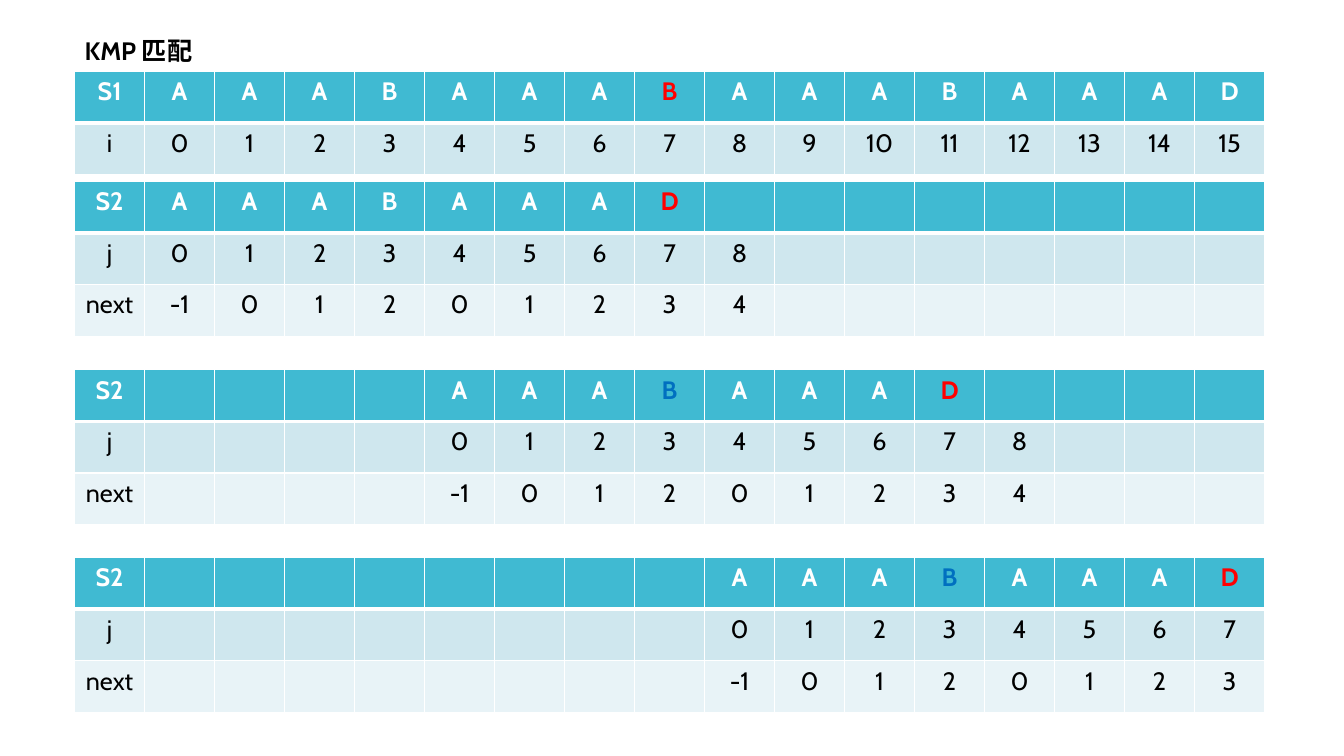
from dataclasses import dataclass, field

import pptx
import pptx.dml.color
import pptx.enum.text
import pptx.oxml
import pptx.oxml.ns
import pptx.slide
import pptx.table
import pptx.text.text
import pptx.util
from pptx.dml.color import RGBColor
from pptx.util import Cm

WHITE = RGBColor(0xFF, 0xFF, 0xFF)
BLACK = RGBColor(0x00, 0x00, 0x00)
RED = RGBColor(0xFF, 0x00, 0x00)
BLUE = RGBColor(0x00, 0x70, 0xC0)
TEAL = RGBColor(0x40, 0xBA, 0xD2)
PALE_TEAL = RGBColor(0xCF, 0xE7, 0xEE)
LIGHT_TEAL = RGBColor(0xE8, 0xF3, 0xF7)
ROW_FILLS = (TEAL, PALE_TEAL, LIGHT_TEAL)

FONT = "Cabin"
LEFT = Cm(1.88)
TABLE_WIDTH = Cm(30)
ROW_HEIGHT = Cm(1.3)
POSITIONS = 16
THIN, THICK = 1, 3

TEXT = "AAABAAABAAABAAAD"
PATTERN = "AAABAAAD"
NEXT = (-1, 0, 1, 2, 0, 1, 2, 3, 4)


@dataclass
class Alignment:
    """A string with its index rows, shifted right by some positions."""

    top: float
    rows: dict[str, list[str]]
    shift: int = 0
    marks: dict[int, RGBColor] = field(default_factory=dict)


def pattern_at(top: float, shift: int, marks: dict[int, RGBColor]) -> Alignment:
    rows = {
        "S2": list(PATTERN),
        "j": [str(j) for j in range(len(NEXT))],
        "next": [str(value) for value in NEXT],
    }
    return Alignment(top, rows, shift, marks)


ALIGNMENTS = (
    Alignment(
        1.8,
        {"S1": list(TEXT), "i": [str(i) for i in range(POSITIONS)]},
        marks={7: RED},
    ),
    pattern_at(4.57, 0, {7: RED}),
    pattern_at(9.32, 4, {3: BLUE, 7: RED}),
    pattern_at(14.05, 8, {3: BLUE, 7: RED}),
)


def write(
    frame: pptx.text.text.TextFrame,
    text: str,
    *,
    color: RGBColor = BLACK,
    bold: bool = False,
    align: pptx.enum.text.PP_ALIGN = pptx.enum.text.PP_ALIGN.CENTER,
) -> None:
    para = frame.paragraphs[0]
    para.alignment = align
    span = para.add_run()
    span.text = text
    span.font.name = FONT
    span.font.size = pptx.util.Pt(18)
    span.font.bold = bold
    span.font.color.rgb = color


def set_borders(cell: pptx.table._Cell, top: int, bottom: int) -> None:
    """Draw white cell borders; widths are in points."""
    properties = cell._tc.get_or_add_tcPr()
    for side, width in (("L", THIN), ("R", THIN), ("T", top), ("B", bottom)):
        properties.append(
            pptx.oxml.parse_xml(
                f'<a:ln{side} {pptx.oxml.ns.nsdecls("a")} w="{pptx.util.Pt(width)}">'
                f'<a:solidFill><a:srgbClr val="{WHITE}"/></a:solidFill></a:ln{side}>'
            )
        )


def draw_alignment(slide: pptx.slide.Slide, alignment: Alignment) -> None:
    row_count = len(alignment.rows)
    table = slide.shapes.add_table(
        row_count, POSITIONS + 1, LEFT, Cm(alignment.top),
        TABLE_WIDTH, ROW_HEIGHT * row_count,
    ).table
    table.horz_banding = False
    for row, (label, values) in enumerate(alignment.rows.items()):
        header = row == 0
        ink = WHITE if header else BLACK
        texts = [label] + [""] * alignment.shift + values
        for column in range(POSITIONS + 1):
            cell = table.cell(row, column)
            set_borders(
                cell,
                top=THICK if row == 1 else THIN,
                bottom=THICK if header else THIN,
            )
            cell.fill.solid()
            cell.fill.fore_color.rgb = ROW_FILLS[row]
            if column < len(texts) and texts[column]:
                index = column - 1 - alignment.shift
                color = alignment.marks.get(index, ink) if header else ink
                write(cell.text_frame, texts[column], color=color, bold=header)


def draw_title(slide: pptx.slide.Slide, text: str) -> None:
    title = slide.shapes.title
    title.left, title.top = LEFT, Cm(0.77)
    title.width, title.height = Cm(8.1), Cm(1.03)
    frame = title.text_frame
    frame.word_wrap = True
    frame.auto_size = pptx.enum.text.MSO_AUTO_SIZE.NONE
    frame.vertical_anchor = pptx.enum.text.MSO_ANCHOR.TOP
    write(frame, text, bold=True, align=pptx.enum.text.PP_ALIGN.LEFT)


def main() -> None:
    deck = pptx.Presentation()
    deck.slide_width, deck.slide_height = Cm(33.87), Cm(19.05)
    slide = deck.slides.add_slide(deck.slide_layouts.get_by_name("Title Only"))
    draw_title(slide, "KMP 匹配")
    for alignment in ALIGNMENTS:
        draw_alignment(slide, alignment)
    deck.save("out.pptx")


if __name__ == "__main__":
    main()
